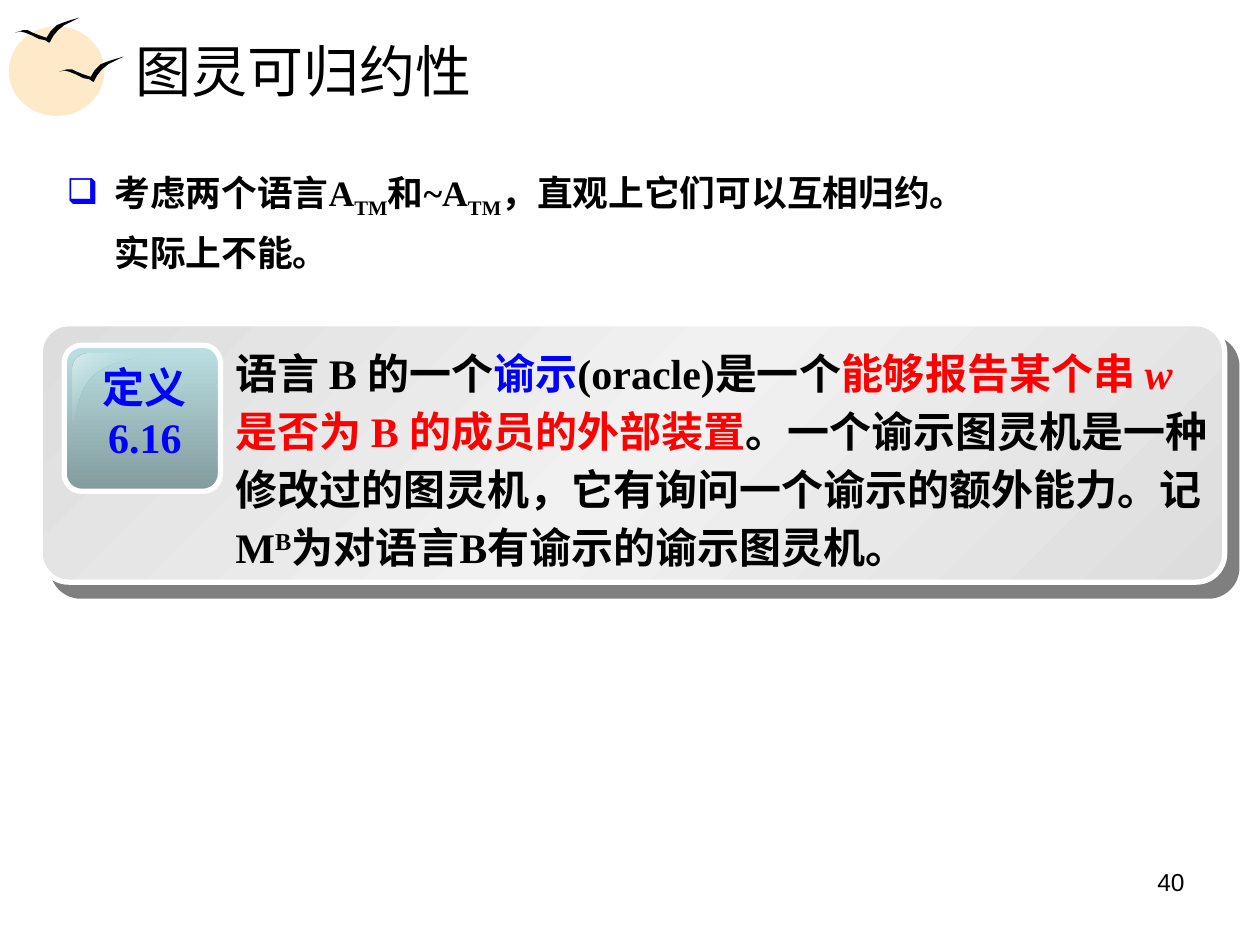
from lxml import etree
from pptx import Presentation
from pptx.dml.color import RGBColor
from pptx.enum.shapes import MSO_SHAPE
from pptx.enum.text import MSO_ANCHOR, PP_ALIGN
from pptx.oxml.ns import qn
from pptx.util import Inches, Pt

SERIF = "Times New Roman"
BLACK, BLUE, RED, WHITE = "000000", "0000FF", "FF0000", "FFFFFF"

# Outline of a gull, measured from the corner of its box
GULL = [(0, .12), (.03, .11), (.06, .1), (.1, .1), (.14, .12), (.19, .14), (.25, .16),
        (.28, .11), (.33, .06), (.38, .04), (.44, .02), (.51, 0), (.45, .03), (.39, .06),
        (.34, .1), (.3, .15), (.28, .19), (.27, .2), (.24, .18), (.19, .17), (.13, .14),
        (.08, .12), (.04, .11)]


def color(value):
    return RGBColor.from_string(value)


def style(shape, fill, line=None):
    shape.shadow.inherit = False
    if fill:
        shape.fill.solid()
        shape.fill.fore_color.rgb = color(fill)
    if line:
        shape.line.color.rgb = color(line)
        shape.line.width = Pt(3)
    else:
        shape.line.fill.background()


def set_gradient(shape, stops, angle):
    """Stops are (percent, colour, opacity percent)."""
    shape.fill.gradient()
    shape.fill.gradient_angle = angle
    stop_list = shape._element.spPr.find(qn("a:gradFill")).find(qn("a:gsLst"))
    for old in list(stop_list):
        stop_list.remove(old)
    for position, value, opacity in stops:
        stop = etree.SubElement(stop_list, qn("a:gs"), pos=str(position * 1000))
        tint = etree.SubElement(stop, qn("a:srgbClr"), val=value)
        etree.SubElement(tint, qn("a:alpha"), val=str(opacity * 1000))


def add_outline(slide, points, left, top):
    spots = [(Inches(left + x), Inches(top + y)) for x, y in points]
    builder = slide.shapes.build_freeform(*spots[0], scale=1.0)
    builder.add_line_segments(spots[1:], close=True)
    return builder.convert_to_shape()


def curve(start, first, second, end, steps=10):
    """Points along a cubic curve, without its start."""
    def point(t):
        u = 1 - t
        return tuple(u**3 * a + 3 * u * u * t * b + 3 * u * t * t * c + t**3 * d
                     for a, b, c, d in zip(start, first, second, end))
    return [point(i / steps) for i in range(1, steps + 1)]


def add_text(slide, left, top, width, height, paragraphs, size, font=SERIF,
             bold=False, align=None, anchor=MSO_ANCHOR.TOP):
    """Each paragraph is a list of (text, colour, baseline percent, italic)."""
    box = slide.shapes.add_textbox(Inches(left), Inches(top), Inches(width), Inches(height))
    frame = box.text_frame
    frame.word_wrap = True
    frame.vertical_anchor = anchor
    for index, pieces in enumerate(paragraphs):
        paragraph = frame.paragraphs[0] if index == 0 else frame.add_paragraph()
        paragraph.alignment = align
        for text, value, baseline, italic in pieces:
            run = paragraph.add_run()
            run.text = text
            run.font.size = Pt(size)
            run.font.name = font
            run.font.bold = bold
            run.font.italic = italic
            run.font.color.rgb = color(value)
            if baseline:
                run.font._element.set("baseline", str(baseline * 1000))
    return frame.paragraphs


def piece(text, value=BLACK, baseline=0, italic=False):
    return text, value, baseline, italic


def add_header(slide, left, top, width):
    # Sun with two gulls
    sun = slide.shapes.add_shape(MSO_SHAPE.OVAL, Inches(left), Inches(top + .07),
                                 Inches(.76), Inches(.71))
    style(sun, "FEE9C8")
    for x, y in [(.4, .31), (.05, 0)]:
        style(add_outline(slide, GULL, left + x, top + y), BLACK)
    # Title
    add_text(slide, left + .91, top + .07, width - .91, .69, [[piece("图灵可归约性")]],
             32, anchor=MSO_ANCHOR.MIDDLE)


def add_question(slide, left, top, width, height):
    lines = [[piece("考虑两个语言A"), piece("TM", baseline=-25), piece("和~A"),
              piece("TM", baseline=-25), piece("，直观上它们可以互相归约。")],
             [piece("实际上不能。")]]
    paragraphs = add_text(slide, left, top, width, height, lines, 20.4, bold=True)
    for paragraph in paragraphs:
        paragraph.space_before = Pt(6)
        paragraph._p.get_or_add_pPr().set("marL", str(Inches(.38)))
    # Box bullet on the first line only
    properties = paragraphs[0]._p.get_or_add_pPr()
    properties.set("indent", str(-Inches(.38)))
    bullet_color = etree.SubElement(properties, qn("a:buClr"))
    etree.SubElement(bullet_color, qn("a:srgbClr"), val=BLUE)
    etree.SubElement(properties, qn("a:buChar"), char="❑")


def add_badge(slide, left, top, width, height):
    badge = slide.shapes.add_shape(MSO_SHAPE.ROUNDED_RECTANGLE, Inches(left), Inches(top),
                                   Inches(width), Inches(height))
    badge.adjustments[0] = .12
    style(badge, None, WHITE)
    set_gradient(badge, [(0, "BBE0E3", 100), (100, "829B9D", 100)], 270)

    # Gloss in the upper left corner
    edge = ([(.13, 0)] + curve((.13, 0), (.06, 0), (0, .05), (0, .12)) + [(0, .57)]
            + curve((0, .57), (.03, .58), (.02, .3), (.17, .17))
            + curve((.17, .17), (.32, .04), (.62, .03), (.61, 0)))
    gloss = add_outline(slide, edge, left + .07, top + .07)
    style(gloss, None)
    set_gradient(gloss, [(0, "D9EDEE", 100), (50, "BBE0E3", 0), (100, "D9EDEE", 100)], 135)

    add_text(slide, left + .17, top + .08, width - .3, .9,
             [[piece("定义", BLUE)], [piece("6.16", BLUE)]], 24, bold=True,
             align=PP_ALIGN.CENTER)


def add_definition(slide, left, top, width, height):
    # Panel with a hard shadow
    panel = slide.shapes.add_shape(MSO_SHAPE.ROUNDED_RECTANGLE, Inches(left), Inches(top),
                                   Inches(width), Inches(height))
    panel.adjustments[0] = .11
    style(panel, None, WHITE)
    set_gradient(panel, [(0, "DDDDDD", 100), (50, "F1F1F1", 100), (100, "DDDDDD", 100)], 135)
    effects = panel._element.spPr.find(qn("a:effectLst"))
    shadow = etree.SubElement(effects, qn("a:outerShdw"), blurRad="0", dist=str(Pt(10.6)),
                              dir=str(49 * 60000), algn="ctr", rotWithShape="0")
    shade = etree.SubElement(shadow, qn("a:srgbClr"), val=BLACK)
    etree.SubElement(shade, qn("a:alpha"), val="50000")

    # Definition text
    definition = [piece("语言 B 的一个"), piece("谕示", BLUE), piece("(oracle)是一个"),
                  piece("能够报告某个串 ", RED), piece("w", RED, italic=True),
                  piece("是否为 B 的成员的外部装置", RED),
                  piece("。一个谕示图灵机是一种修改过的图灵机，它有询问一个谕示的额外能力。记M"),
                  piece("B", baseline=30), piece("为对语言B有谕示的谕示图灵机。")]
    paragraph, = add_text(slide, left + 1.45, top + .08, width - 1.45, height - .11,
                          [definition], 24, bold=True)
    paragraph.line_spacing = 1.15
    paragraph.space_before = Pt(4.5)

    add_badge(slide, left + .19, top + .17, 1.24, 1.16)


def add_page_number(slide, left, top, width, height):
    add_text(slide, left, top, width, height, [[piece("40")]], 14, font="Arial",
             align=PP_ALIGN.RIGHT)


def main():
    deck = Presentation()
    deck.slide_width, deck.slide_height = Inches(10), Inches(7.5)
    slide = deck.slides.add_slide(deck.slide_layouts[6])
    add_header(slide, .07, .14, 9.44)
    add_definition(slide, .32, 2.57, 9.4, 2.05)
    add_question(slide, .43, 1.31, 9.29, .94)
    add_page_number(slide, 7.17, 6.83, 2.33, .52)
    deck.save("out.pptx")


if __name__ == "__main__":
    main()
